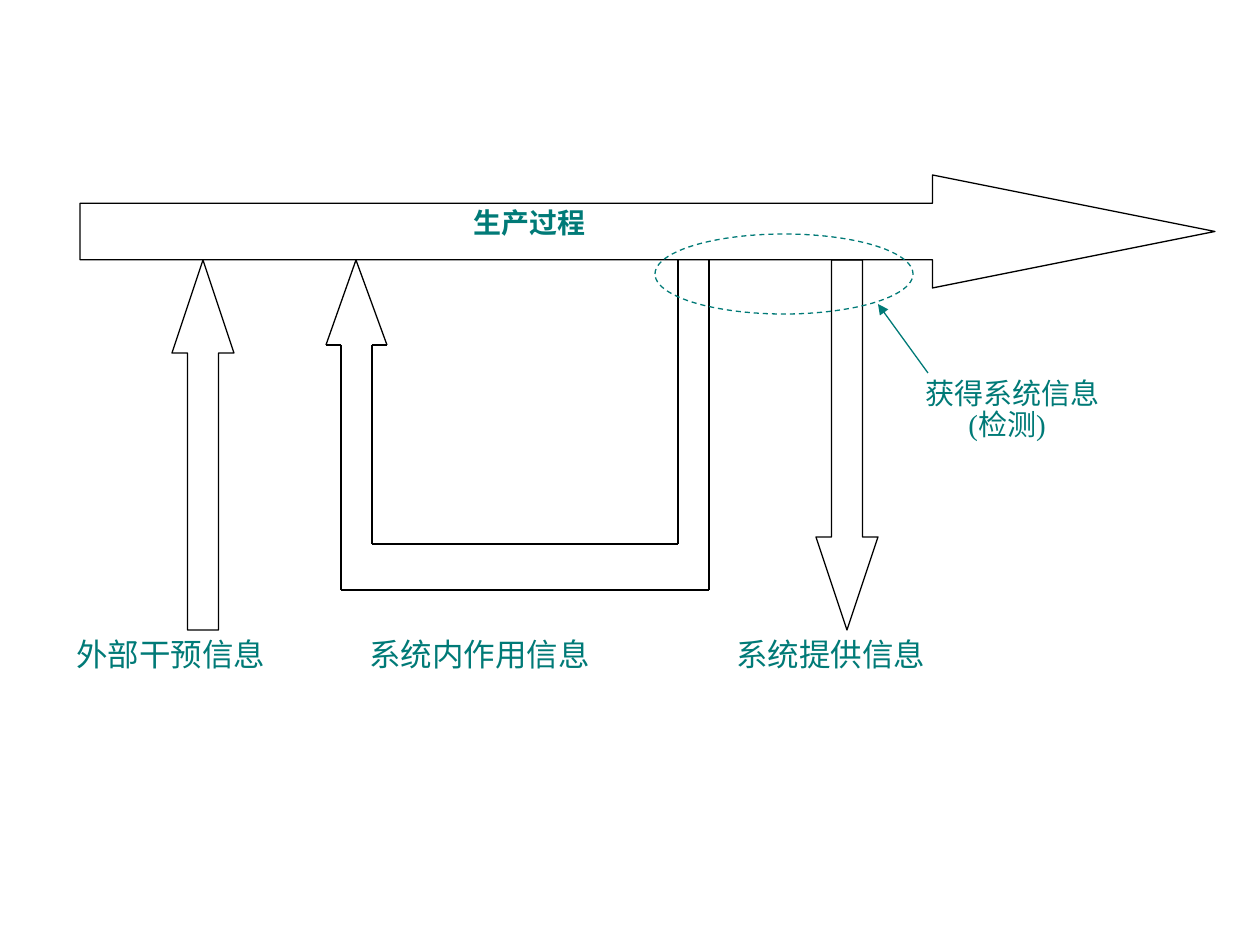
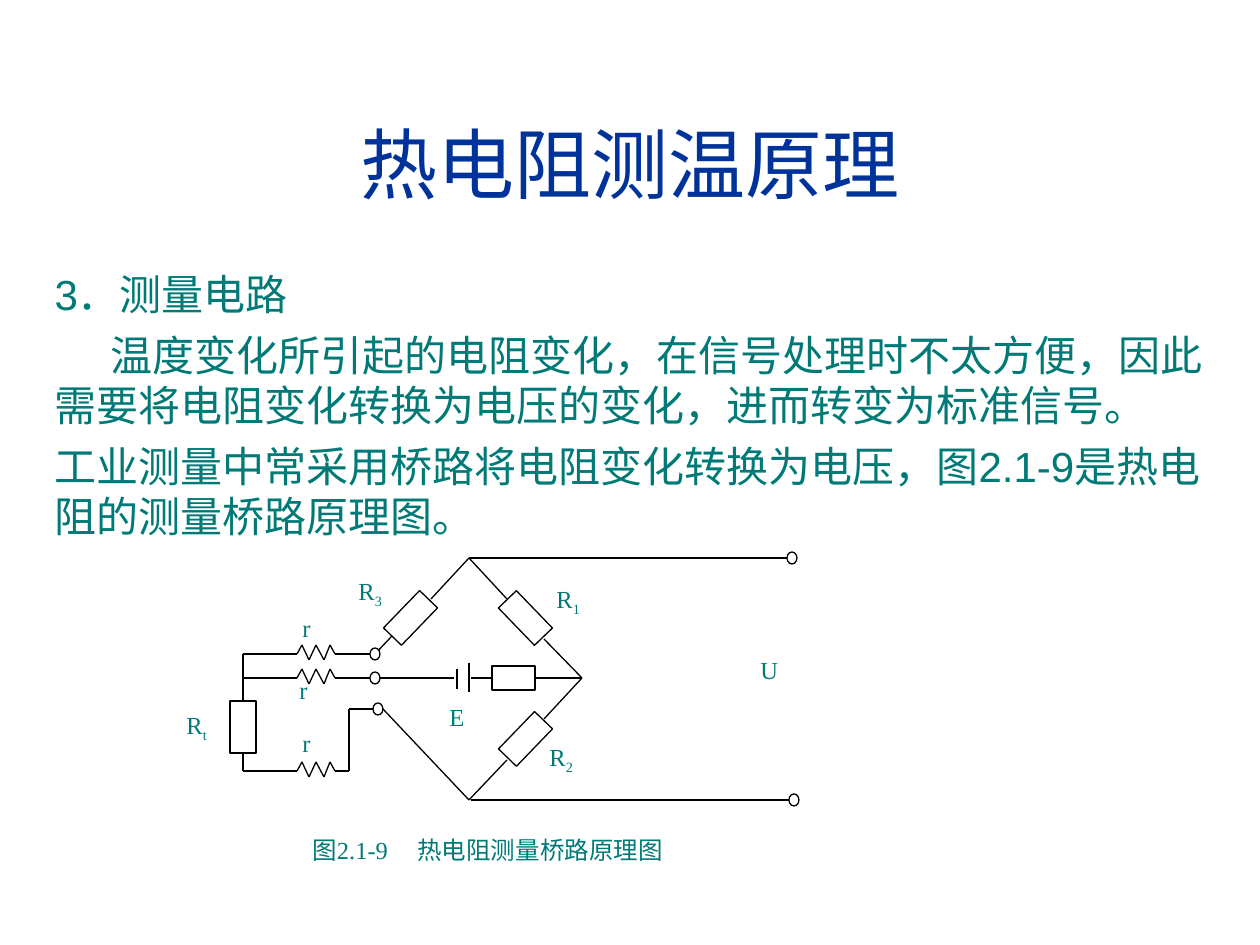
from itertools import pairwise

from lxml.etree import SubElement
from pptx import Presentation
from pptx.dml.color import RGBColor
from pptx.enum.dml import MSO_LINE
from pptx.enum.shapes import MSO_CONNECTOR, MSO_SHAPE
from pptx.enum.text import MSO_ANCHOR, MSO_AUTO_SIZE, PP_ALIGN
from pptx.oxml.ns import qn
from pptx.util import Emu, Pt

COLORS = {"title": "003399", "text": "007A77", "line": "000000", "fill": "FFFFFF"}
SERIF, SANS = "Times New Roman", "Arial"
TOP, LEFT, BOTTOM, RIGHT = range(4)

# Slide 1: information flow around the production process
PROCESS_ARROW = (80, 175, 1135, 113)
INPUT_ARROW = (172, 260, 62, 370)
OUTPUT_ARROW = (816, 260, 62, 370)
FEEDBACK_LOOP = [(678, 260), (678, 544), (372, 544), (372, 345), (387, 345), (356, 260),
                 (326, 345), (341, 345), (341, 590), (709, 590), (709, 260)]
DETECTION_OVAL = (655, 234, 258, 80)
DETECTION_POINTER = [(928, 373), (878, 304)]
FLOW_LABELS = [
    ("外部干预信息", (64, 629, 246, 86)),
    ("系统内作用信息", (357, 629, 276, 86)),
    ("系统提供信息", (724, 629, 246, 86)),
]
PROCESS_LABEL = ("生产过程", (461, 199, 144, 54))
DETECTION_LABEL = ("获得系统信息\n(检测)", (913, 373, 246, 86))

# Slide 2: bridge circuit
TITLE = ("热电阻测温原理", (42, 84, 1177, 158))
BODY_BOX = (42, 262, 1177, 578)
BODY = [  # text, first-line indent
    ("3．测量电路", 0),
    ("温度变化所引起的电阻变化，在信号处理时不太方便，因此需要将电阻变化转换为电压的变化，"
     "进而转变为标准信号。", 56),
    ("工业测量中常采用桥路将电阻变化转换为电压，图2.1-9是热电阻的测量桥路原理图。", 0),
]
CAPTION = ("图2.1-9\t热电阻测量桥路原理图", (300, 829, 431, 49))
CAPTION_TAB = 105
WIRES = [
    [(431, 599), (469, 558), (507, 599)],
    [(544, 639), (582, 678), (544, 719)],
    [(507, 760), (469, 800), (383, 709), (349, 709), (349, 771), (335, 771)],
    [(375, 654), (392, 636)],
    [(469, 558), (788, 558)],
    [(471, 800), (790, 800)],
    [(335, 654), (373, 654)],
    [(335, 678), (454, 678)],
    [(457, 669), (457, 689)],
    [(469, 663), (469, 692)],
    [(243, 654), (297, 654)],
    [(243, 678), (297, 678)],
]
BRIDGE_RESISTORS = [((398, 592), 44), ((513, 592), -44), ((513, 713), 44)]
RT_BOX = (230, 701, 26, 52)
SERIES_BOX = (492, 666, 43, 24)
RT_LEADS = [(TOP, [(243, 701), (243, 654)]), (BOTTOM, [(243, 753), (243, 771), (297, 771)])]
SERIES_LEADS = [(LEFT, [(492, 678), (471, 678)]), (RIGHT, [(535, 678), (582, 678)])]
ZIGZAG = [(0, 0), (5, -9), (12, 6), (19, -9), (27, 6), (33, -9), (38, 0)]
ZIGZAG_LEFT, ZIGZAG_LEVELS = 297, (654, 678, 771)
TERMINALS = [(375, 654), (375, 678), (378, 709), (792, 558), (794, 800)]
SYMBOLS = [  # an underscore starts the subscript
    ("R_1", (544, 578)), ("R_2", (537, 736)), ("R_3", (346, 570)), ("R_t", (174, 704)),
    ("E", (437, 696)), ("U", (748, 649)),
    ("r", (290, 607)), ("r", (287, 669)), ("r", (290, 722)),
]


def px(n):
    return Emu(round(n * 914400 / 126))


def rgb(name):
    return RGBColor.from_string(COLORS[name])


def style_runs(p, size, font=SERIF, color="text", bold=None):
    for r in p.runs:
        r.font.size, r.font.name, r.font.bold = Pt(size), font, bold
        r.font.color.rgb = rgb(color)


def set_indent(p, margin, first_line=0):
    pPr = p._p.get_or_add_pPr()
    pPr.set("marL", str(px(margin)))
    pPr.set("indent", str(px(first_line)))
    return pPr


def add_label(slide, text, box, size, bold=None):
    tf = slide.shapes.add_textbox(*map(px, box)).text_frame
    tf.word_wrap = True
    tf.text = text
    for p in tf.paragraphs:
        p.alignment = PP_ALIGN.JUSTIFY
        style_runs(p, size, bold=bold)
    return tf


def add_symbol(slide, symbol, corner):
    base, _, sub = symbol.partition("_")
    size = (40, 44) if base == "r" else (59, 49)
    p = add_label(slide, base, corner + size, 14).paragraphs[0]
    if sub:
        r = p.add_run()
        r.text = sub
        style_runs(p, 14)
        r._r.get_or_add_rPr().set("baseline", "-25000")


def add_outline(slide, kind, box, fill=None, line="line"):
    sp = slide.shapes.add_shape(kind, *map(px, box))
    sp.shadow.inherit = False
    if fill:
        sp.fill.solid()
        sp.fill.fore_color.rgb = rgb(fill)
    else:
        sp.fill.background()
    sp.line.color.rgb = rgb(line)
    sp.line.width = Pt(0.75)
    return sp


def add_block_arrow(slide, kind, box, head):
    sp = add_outline(slide, kind, box)
    sp.adjustments[0], sp.adjustments[1] = 0.5, head


def add_wire(slide, points, line="line"):
    """Join the points by straight connectors and return these."""
    segments = []
    for start, end in pairwise(points):
        c = slide.shapes.add_connector(MSO_CONNECTOR.STRAIGHT, *map(px, start + end))
        c.line.color.rgb = rgb(line)
        c.line.width = Pt(0.75)
        SubElement(c._element.spPr, qn("a:effectLst"))
        segments.append(c)
    return segments


def add_component(slide, box, leads):
    """Draw a resistor and join its leads to the middle of its sides."""
    sp = add_outline(slide, MSO_SHAPE.RECTANGLE, box, "fill")
    for side, points in leads:
        add_wire(slide, points)[0].begin_connect(sp, side)


def place(sp, box):
    sp.left, sp.top, sp.width, sp.height = map(px, box)
    sp.text_frame.auto_size = MSO_AUTO_SIZE.NONE
    sp.text_frame.word_wrap = True
    return sp.text_frame


def build_flow_slide(prs):
    slide = prs.slides.add_slide(prs.slide_layouts[6])
    add_block_arrow(slide, MSO_SHAPE.RIGHT_ARROW, PROCESS_ARROW, 2.5)
    add_block_arrow(slide, MSO_SHAPE.UP_ARROW, INPUT_ARROW, 1.5)
    add_block_arrow(slide, MSO_SHAPE.DOWN_ARROW, OUTPUT_ARROW, 1.5)
    add_wire(slide, FEEDBACK_LOOP)

    for text, box in FLOW_LABELS:
        add_label(slide, text, box, 18)
    add_label(slide, *PROCESS_LABEL, 16, bold=True)

    oval = add_outline(slide, MSO_SHAPE.OVAL, DETECTION_OVAL, line="text")
    oval.line.dash_style = MSO_LINE.DASH
    tf = add_label(slide, *DETECTION_LABEL, 16.6)
    for p in tf.paragraphs:
        p.line_spacing = 0.9
    set_indent(tf.paragraphs[1], 43)
    pointer = add_wire(slide, DETECTION_POINTER, "text")[0]
    SubElement(pointer.line._get_or_add_ln(), qn("a:tailEnd"), type="triangle")


def build_circuit_slide(prs):
    slide = prs.slides.add_slide(prs.slide_layouts[1])
    title, box = TITLE
    tf = place(slide.shapes.title, box)
    tf.text = title
    tf.vertical_anchor = MSO_ANCHOR.MIDDLE
    tf.paragraphs[0].alignment = PP_ALIGN.CENTER
    style_runs(tf.paragraphs[0], 44, SANS, "title")

    tf = place(slide.placeholders[1], BODY_BOX)
    tf.text = "\n".join(text for text, _ in BODY)
    for i, (p, (_, first_line)) in enumerate(zip(tf.paragraphs, BODY)):
        SubElement(set_indent(p, 0, first_line), qn("a:buNone"))
        p.space_before = Pt(6 if i else 0)
        style_runs(p, 24, SANS)

    for points in WIRES:
        add_wire(slide, points)
    for level in ZIGZAG_LEVELS:
        add_wire(slide, [(ZIGZAG_LEFT + x, level + y) for x, y in ZIGZAG])
    for corner, angle in BRIDGE_RESISTORS:
        sp = add_outline(slide, MSO_SHAPE.RECTANGLE, corner + (25, 52), "fill")
        sp.rotation = angle
    add_component(slide, RT_BOX, RT_LEADS)
    add_component(slide, SERIES_BOX, SERIES_LEADS)
    for x, y in TERMINALS:
        add_outline(slide, MSO_SHAPE.OVAL, (x - 5, y - 6, 10, 12), "fill")

    for symbol, corner in SYMBOLS:
        add_symbol(slide, symbol, corner)
    p = add_label(slide, *CAPTION, 14).paragraphs[0]
    tabs = SubElement(p._p.get_or_add_pPr(), qn("a:tabLst"))
    SubElement(tabs, qn("a:tab"), pos=str(px(CAPTION_TAB)), algn="l")


def main():
    prs = Presentation()
    prs.slide_width, prs.slide_height = px(1260), px(945)
    build_flow_slide(prs)
    build_circuit_slide(prs)
    prs.save("out.pptx")


if __name__ == "__main__":
    main()
